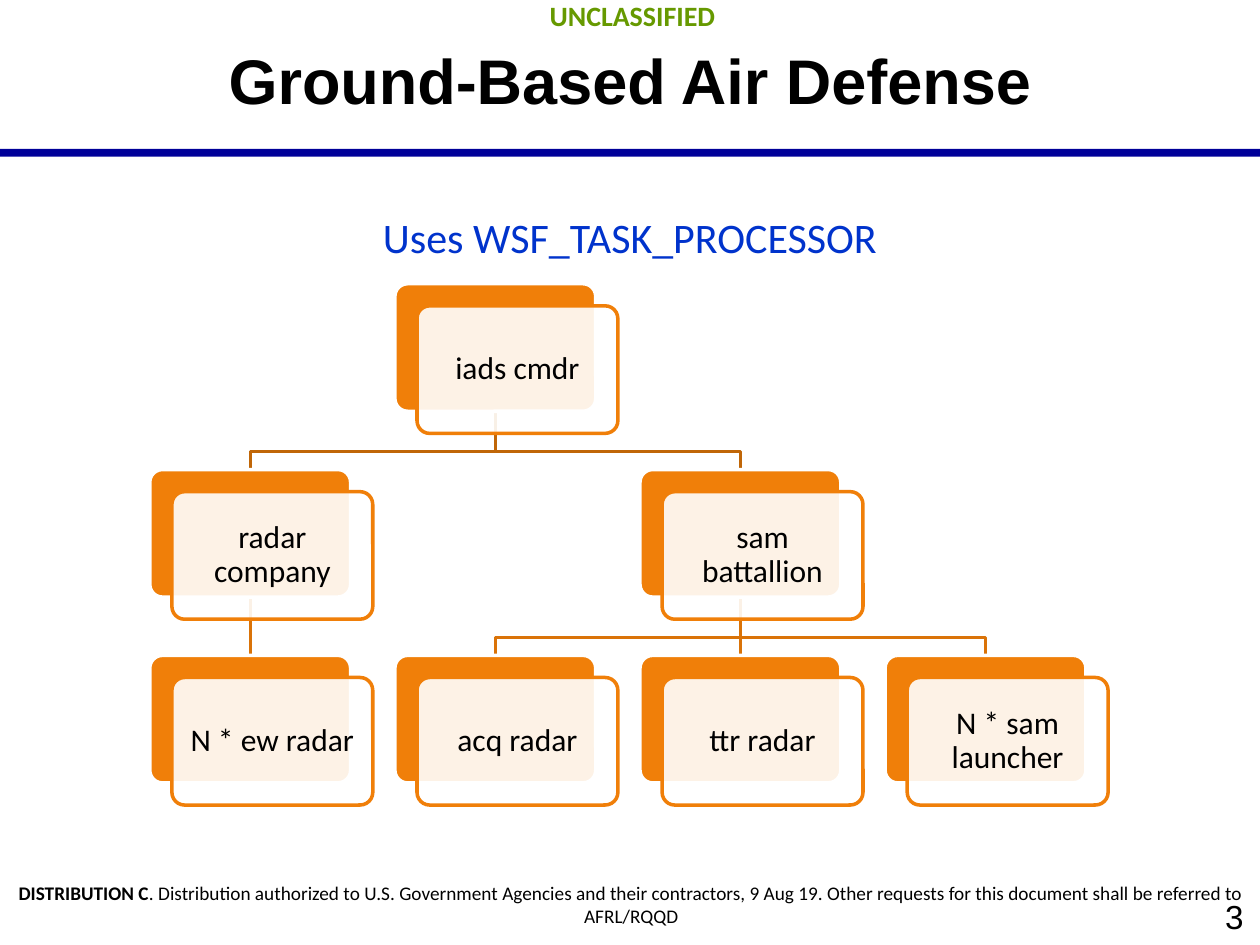
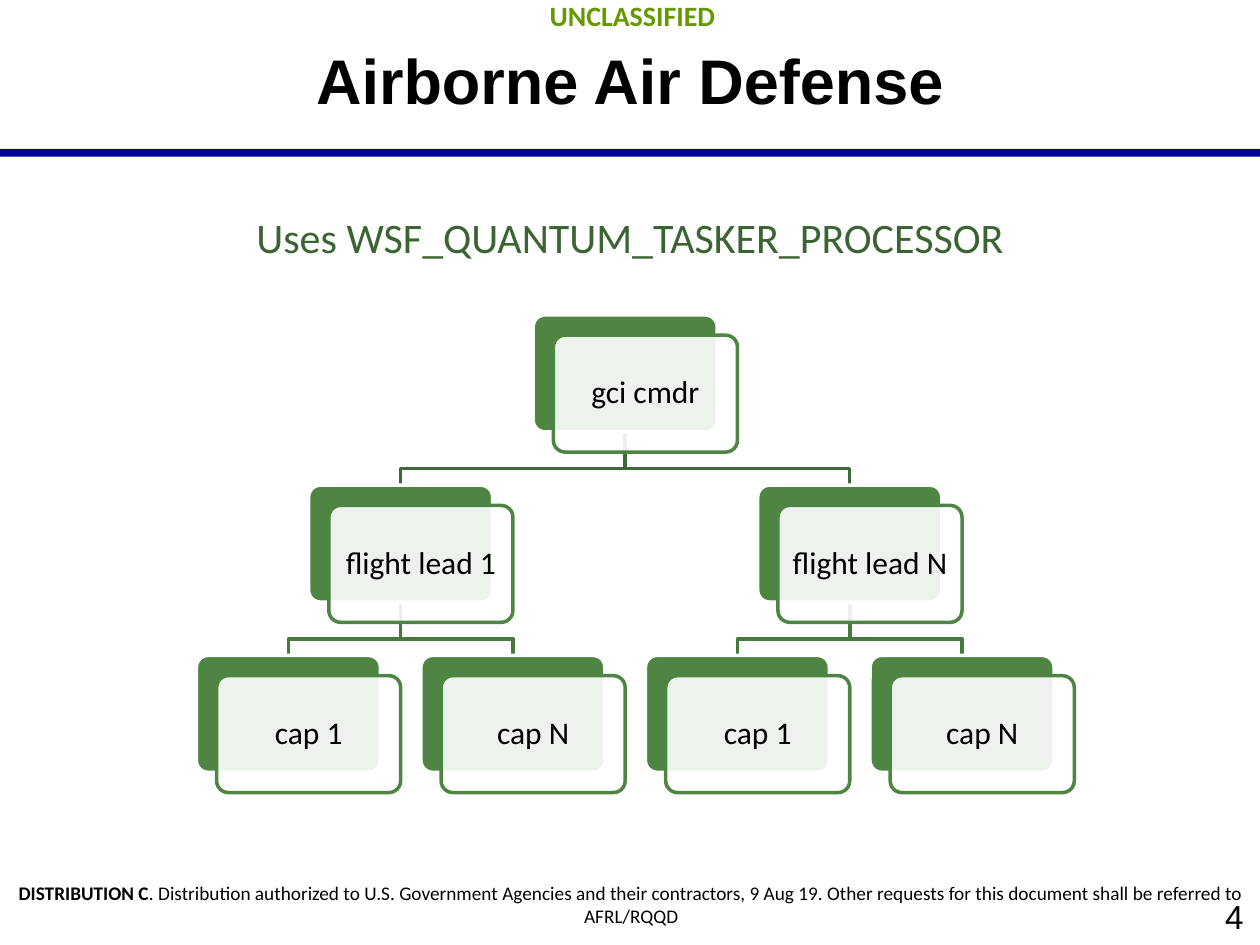
from itertools import count
from lxml.etree import SubElement
from pptx import Presentation
from pptx.dml.color import RGBColor
from pptx.enum.shapes import MSO_CONNECTOR, MSO_SHAPE
from pptx.enum.text import MSO_ANCHOR, PP_ALIGN
from pptx.oxml.ns import qn
from pptx.util import Cm, Pt

# Content: each tree node is (label, children)
MARKING = "UNCLASSIFIED"
NOTICE = [
    ("DISTRIBUTION C", True),
    (". Distribution authorized to U.S. Government Agencies and their "
     "contractors, 9 Aug 19. Other requests for this document shall be "
     "referred to AFRL/RQQD", False),
]
FIRST_NUMBER = 3
SLIDES = [
    dict(
        title="Ground-Based Air Defense",
        subtitle="Uses WSF_TASK_PROCESSOR", subtitle_color="0033CC",
        fill="F07F09", lines=["C06607", "DA7308"],
        left=3.02, top=5.72, box=4.05,
        tree=("iads cmdr", [
            ("radar company", [("N * ew radar", [])]),
            ("sam battallion", [("acq radar", []), ("ttr radar", []),
                                ("N * sam launcher", [])]),
        ]),
    ),
    dict(
        title="Airborne Air Defense",
        subtitle="Uses WSF_QUANTUM_TASKER_PROCESSOR", subtitle_color="3B6432",
        fill="4E8542", lines=["3E6B35", "47793C"],
        left=3.96, top=6.35, box=3.71,
        tree=("gci cmdr", [
            ("flight lead 1", [("cap 1", []), ("cap N", [])]),
            ("flight lead N", [("cap 1", []), ("cap N", [])]),
        ]),
    ),
]

# Shared style
WIDTH, HEIGHT = 25.4, 19.05
BLACK, WHITE, NAVY, GREEN = "000000", "FFFFFF", "000099", "669900"
BODY, HEAD = "Calibri", "Arial"
WIDE_INSETS, BOX_INSETS = (0.33, 0.18), (0.18, 0.18)

# Chart proportions, as shares of the box width
BOX_HEIGHT, COLUMN_STEP, LEVEL_STEP = 0.635, 1.22, 0.925
SHIFT_X, SHIFT_Y = 0.11, 0.11
ELBOW = 0.69  # share of the gap between two levels


def rgb(color):
    return RGBColor.from_string(color)


def write(sp, runs, size, font=BODY, color=BLACK, align=PP_ALIGN.CENTER,
          anchor=MSO_ANCHOR.TOP, insets=WIDE_INSETS, wrap=True, spacing=None):
    """Fill a shape with one paragraph of (text, bold) runs."""
    tf = sp.text_frame
    tf.word_wrap = wrap
    tf.vertical_anchor = anchor
    tf.margin_left = tf.margin_right = Cm(insets[0])
    tf.margin_top = tf.margin_bottom = Cm(insets[1])
    p = tf.paragraphs[0]
    p.alignment = align
    p.line_spacing = spacing
    for text, bold in runs:
        r = p.add_run()
        r.text = text
        r.font.name, r.font.size, r.font.bold = font, Pt(size), bold
        r.font.color.rgb = rgb(color)


def add_text(slide, x, y, w, h, runs, size, **style):
    write(slide.shapes.add_textbox(Cm(x), Cm(y), Cm(w), Cm(h)),
          runs, size, **style)


def add_box(slide, kind, x, y, w, h, fill, line=None, opacity=None):
    sp = slide.shapes.add_shape(kind, Cm(x), Cm(y), Cm(w), Cm(h))
    sp.shadow.inherit = False
    sp.fill.solid()
    sp.fill.fore_color.rgb = rgb(fill)
    if opacity:
        clr = sp.fill._xPr.find(qn("a:solidFill"))[0]
        SubElement(clr, qn("a:alpha"), val=str(opacity * 1000))
    if line:
        sp.line.color.rgb = rgb(line)
        sp.line.width = Pt(2)
        sp.adjustments[0] = 0.1
    else:
        sp.line.fill.background()
    return sp


def add_frame(slide, title, number):
    """Title, rule, marking, notice and slide number."""
    sp = slide.shapes.title
    sp.left, sp.top, sp.width, sp.height = Cm(1.27), 0, Cm(22.86), Cm(3.18)
    write(sp, [(title, True)], 36, font=HEAD, anchor=MSO_ANCHOR.MIDDLE)
    add_box(slide, MSO_SHAPE.RECTANGLE, 0, 3, WIDTH, 0.16, NAVY)
    add_text(slide, 0.05, -0.2, WIDTH, 1.02, [(MARKING, True)], 16, color=GREEN)
    add_text(slide, 0, 17.58, 25.45, 1.27, NOTICE, 11)
    add_text(slide, 20.32, 17.91, 5.08, 1.14, [(str(number), False)], 19,
             font=HEAD, align=PP_ALIGN.RIGHT, anchor=MSO_ANCHOR.MIDDLE)


def place(node, columns, level=0):
    """Leaves take the next column; a parent sits midway over its children."""
    label, children = node
    kids = [place(child, columns, level + 1) for child in children]
    column = (kids[0]["column"] + kids[-1]["column"]) / 2 if kids else next(columns)
    return dict(label=label, level=level, column=column, kids=kids)


def walk(node):
    yield node
    for kid in node["kids"]:
        yield from walk(kid)


def add_link(slide, x1, y1, x2, y2, color):
    if x1 == x2:
        sp = slide.shapes.add_connector(
            MSO_CONNECTOR.STRAIGHT, Cm(x1), Cm(y1), Cm(x2), Cm(y2))
        SubElement(sp._element.spPr, qn("a:effectLst"))
    else:
        bend = y1 + ELBOW * (y2 - y1)
        outline = slide.shapes.build_freeform(Cm(x1), Cm(y1))
        outline.add_line_segments(
            [(Cm(x), Cm(y)) for x, y in ((x1, bend), (x2, bend), (x2, y2))],
            close=False)
        sp = outline.convert_to_shape()
        sp.shadow.inherit = False
        sp.fill.background()
    sp.line.color.rgb = rgb(color)
    sp.line.width = Pt(2)


def add_tree(slide, tree, left, top, box, fill, lines):
    nodes = list(walk(place(tree, count())))
    height = box * BOX_HEIGHT

    def corner(node):
        return (left + node["column"] * box * COLUMN_STEP,
                top + node["level"] * box * LEVEL_STEP)

    # Links, lower levels first
    for node in sorted(nodes, key=lambda n: -n["level"]):
        x, y = corner(node)
        for kid in node["kids"]:
            kid_x, kid_y = corner(kid)
            add_link(slide, x + box / 2, y + height, kid_x + box / 2, kid_y,
                     lines[node["level"]])

    # Solid back card and translucent front card with the label
    for node in nodes:
        x, y = corner(node)
        add_box(slide, MSO_SHAPE.ROUNDED_RECTANGLE, x, y, box, height, fill, WHITE)
        sp = add_box(slide, MSO_SHAPE.ROUNDED_RECTANGLE, x + box * SHIFT_X,
                     y + box * SHIFT_Y, box, height, WHITE, fill, opacity=90)
        write(sp, [(node["label"], False)], 18, anchor=MSO_ANCHOR.MIDDLE,
              insets=BOX_INSETS, spacing=0.9)


def main():
    prs = Presentation()
    prs.slide_width, prs.slide_height = Cm(WIDTH), Cm(HEIGHT)
    for number, s in enumerate(SLIDES, FIRST_NUMBER):
        slide = prs.slides.add_slide(prs.slide_layouts[5])
        add_frame(slide, s["title"], number)
        add_tree(slide, s["tree"], s["left"], s["top"], s["box"],
                 s["fill"], s["lines"])
        add_text(slide, 3.1, 4.14, 19.2, 1.27, [(s["subtitle"], False)], 24,
                 color=s["subtitle_color"], insets=(0.25, 0.13), wrap=False)
    prs.save("out.pptx")


if __name__ == "__main__":
    main()
